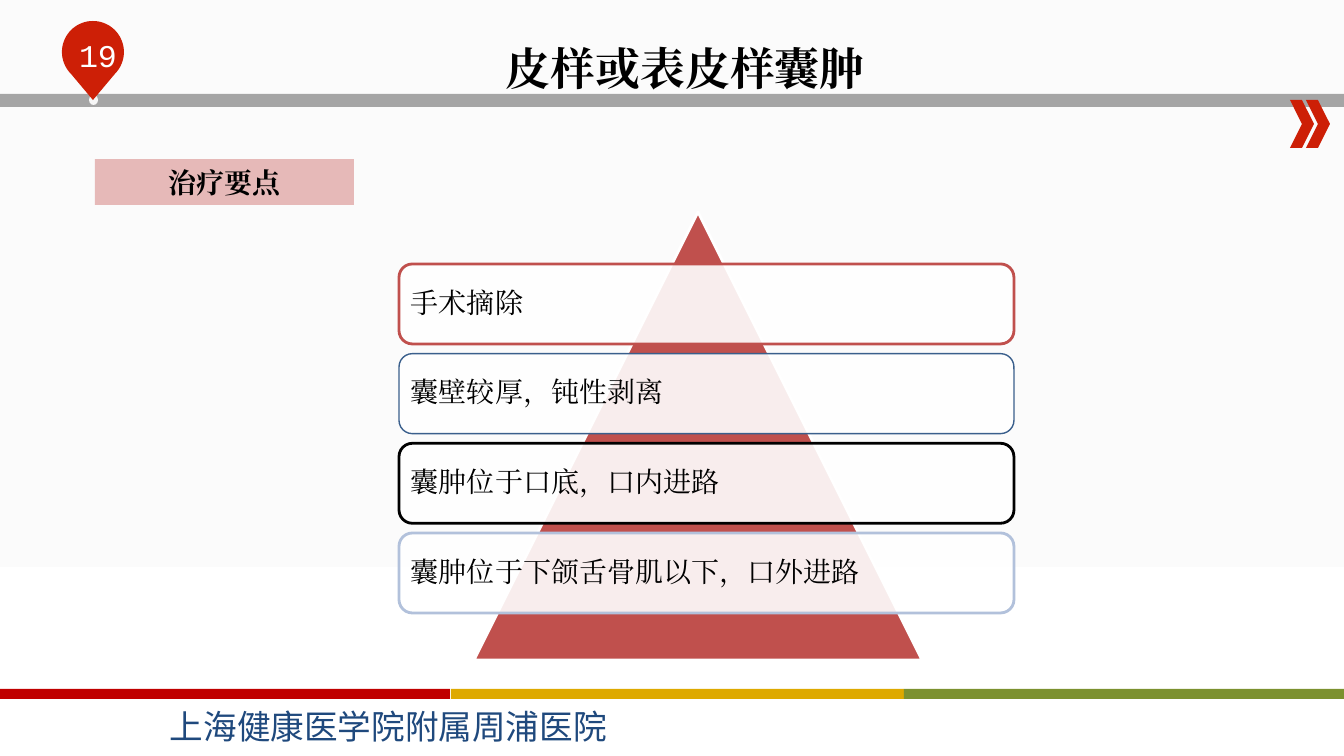
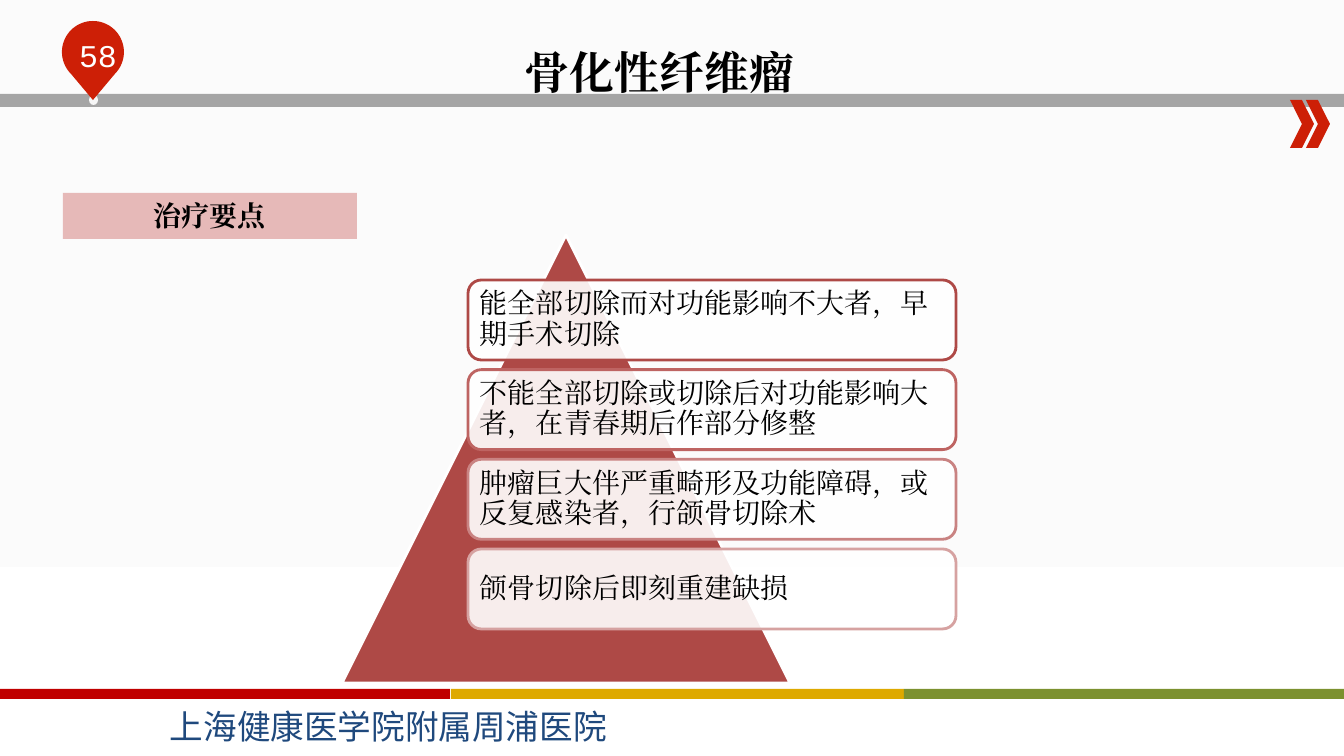
import math
import pptx
import pptx.util
from pptx.dml.color import RGBColor
from pptx.enum.shapes import MSO_SHAPE
from pptx.enum.text import MSO_ANCHOR, PP_ALIGN
from pptx.oxml import parse_xml
from pptx.oxml.ns import nsdecls, qn

SCALE = 914400 / 100.8
WIDTH, HEIGHT = 1344, 756

BLACK = RGBColor(0x00, 0x00, 0x00)
WHITE = RGBColor(0xFF, 0xFF, 0xFF)
GREY = RGBColor(0xA5, 0xA5, 0xA5)
PALE = RGBColor(0xF6, 0xF6, 0xF6)
RED = RGBColor(0xCD, 0x1F, 0x06)
NAVY = RGBColor(0x1F, 0x49, 0x7D)
PINK = RGBColor(0xE6, 0xB9, 0xB8)
BRICK = RGBColor(0xC0, 0x50, 0x4D)
RUST = RGBColor(0xAE, 0x49, 0x46)
STEEL = RGBColor(0x3A, 0x5F, 0x8C)
MIST = RGBColor(0xB2, 0xC1, 0xDB)
ROSE = RGBColor(0xBE, 0x64, 0x62)
CORAL = RGBColor(0xC9, 0x83, 0x82)
BLUSH = RGBColor(0xD6, 0xA2, 0xA1)

SERIF, SANS, MONO = "Times New Roman", "Noto Sans CJK SC", "Courier New"
BACK = [(0, "FBFBFB"), (50, "FBFBFB"), (100, "FFFFFF"), (100, "FCFCFC")]
BANDS = [
    (0, 450, RGBColor(0xC0, 0x00, 0x00)),
    (451, 904, RGBColor(0xDE, 0xA9, 0x00)),
    (904, WIDTH, RGBColor(0x7C, 0x91, 0x2F)),
]
FOOTER = "上海健康医学院附属周浦医院"
LABEL = "治疗要点"
CARD_H, CARD_SPAN, PEAK = 80, 269, 448

# Boxes are left, top, width, height; cards are text, line colour, line width.
SLIDES = [
    {
        "page": "19",
        "title": ("皮样或表皮样囊肿", (496, 9, 382, 92)),
        "label": (95, 159, 259, 46),
        "peak": (474, 212, BRICK),
        "stack": (399, 264, 615),
        "cards": [
            ("手术摘除", BRICK, 2),
            ("囊壁较厚，钝性剥离", STEEL, 1),
            ("囊肿位于口底，口内进路", BLACK, 2),
            ("囊肿位于下颌舌骨肌以下，口外进路", MIST, 2),
        ],
    },
    {
        "page": "58",
        "title": ("骨化性纤维瘤", (515, 13, 291, 92)),
        "label": (63, 193, 294, 46),
        "peak": (342, 235, RUST),
        "stack": (468, 280, 488),
        "cards": [
            ("能全部切除而对功能影响不大者，早期手术切除", RUST, 2),
            ("不能全部切除或切除后对功能影响大者，在青春期后作部分修整", ROSE, 2),
            ("肿瘤巨大伴严重畸形及功能障碍，或反复感染者，行颌骨切除术", CORAL, 2),
            ("颌骨切除后即刻重建缺损", BLUSH, 2),
        ],
    },
]


def px(num):
    return round(num * SCALE)


def paint(shape, fill, line=None, width=2):
    shape.shadow.inherit = False
    shape.fill.solid()
    shape.fill.fore_color.rgb = fill
    if line is None:
        shape.line.fill.background()
    else:
        shape.line.color.rgb = line
        shape.line.width = pptx.util.Pt(width)
    return shape


def draw(slide, kind, box, fill, line=None, width=2):
    shape = slide.shapes.add_shape(kind, *map(px, box))
    return paint(shape, fill, line, width)


def write(shape, text, size, font, color, bold=False, align=PP_ALIGN.LEFT,
          anchor=MSO_ANCHOR.TOP, inset=(10, 5), space=None, wrap=True):
    frame = shape.text_frame
    frame.word_wrap = wrap
    frame.vertical_anchor = anchor
    frame.margin_left = frame.margin_right = px(inset[0])
    frame.margin_top = frame.margin_bottom = px(inset[1])
    para = frame.paragraphs[0]
    para.alignment = align
    if space:
        para.line_spacing = space
    run = para.add_run()
    run.text = text
    run.font.size = pptx.util.Pt(size)
    run.font.name = font
    run.font.bold = bold
    run.font.color.rgb = color
    east = parse_xml(f'<a:ea {nsdecls("a")} typeface="{font}"/>')
    run.font._element.find(qn("a:latin")).addnext(east)


def label(slide, box, *args, **opts):
    write(slide.shapes.add_textbox(*map(px, box)), *args, **opts)


def shade(slide):
    """Fill the background with the vertical gradient."""
    fill = slide.background.fill
    fill.gradient()
    fill.gradient_angle = 270
    stops = slide._element.find(".//" + qn("a:gsLst"))
    for stop in list(stops):
        stops.remove(stop)
    for pos, color in BACK:
        stops.append(parse_xml(
            f'<a:gs {nsdecls("a")} pos="{pos * 1000}">'
            f'<a:srgbClr val="{color}"/></a:gs>'))


def pin(slide):
    """Draw the map pin: a round head that narrows to a tip."""
    mid, top, rad = 93, 52, 31
    dots = []
    for deg in range(135, 406, 5):
        turn = math.radians(deg)
        dots.append((px(mid + rad * math.cos(turn)),
                     px(top + rad * math.sin(turn))))
    dots.append((px(mid), px(100)))
    path = slide.shapes.build_freeform(*dots[0], scale=1.0)
    path.add_line_segments(dots[1:], close=True)
    paint(path.convert_to_shape(), RED)


def frame(slide, page):
    """Add the parts that every slide shares."""
    shade(slide)
    draw(slide, MSO_SHAPE.RECTANGLE, (0, 94, WIDTH, 13), GREY)
    for left in (1290, 1306):
        draw(slide, MSO_SHAPE.CHEVRON, (left, 100, 24, 48), RED)
    draw(slide, MSO_SHAPE.OVAL, (89, 95, 9, 10), PALE)
    pin(slide)
    label(slide, (54, 31, 88, 40), page, 22.6, MONO, WHITE,
          align=PP_ALIGN.CENTER)
    for left, right, color in BANDS:
        draw(slide, MSO_SHAPE.RECTANGLE, (left, 689, right - left, 10), color)
    label(slide, (160, 701, 457, 50), FOOTER, 24, SANS, NAVY, wrap=False)


def stack(slide, data):
    """Lay the cards over the triangle at equal steps."""
    left, top, color = data["peak"]
    draw(slide, MSO_SHAPE.ISOSCELES_TRIANGLE, (left, top, PEAK, PEAK),
         color, WHITE)
    left, top, width = data["stack"]
    step = CARD_SPAN / (len(data["cards"]) - 1)
    for num, (text, line, weight) in enumerate(data["cards"]):
        card = draw(slide, MSO_SHAPE.ROUNDED_RECTANGLE,
                    (left, top + num * step, width, CARD_H),
                    WHITE, line, weight)
        solid = card._element.spPr.find(qn("a:solidFill"))
        solid[0].append(parse_xml(f'<a:alpha {nsdecls("a")} val="90000"/>'))
        write(card, text, 20, SERIF, BLACK, anchor=MSO_ANCHOR.MIDDLE,
              inset=(8, 8), space=0.9)


def main():
    prs = pptx.Presentation()
    prs.slide_width, prs.slide_height = px(WIDTH), px(HEIGHT)
    for data in SLIDES:
        slide = prs.slides.add_slide(prs.slide_layouts[6])
        frame(slide, data["page"])
        title, box = data["title"]
        label(slide, box, title, 32, SERIF, BLACK, bold=True, space=1.5,
              wrap=False)
        tag = draw(slide, MSO_SHAPE.RECTANGLE, data["label"], PINK)
        write(tag, LABEL, 20, SERIF, BLACK, bold=True,
              align=PP_ALIGN.CENTER, inset=(12, 6))
        stack(slide, data)
    prs.save("out.pptx")


if __name__ == "__main__":
    main()
